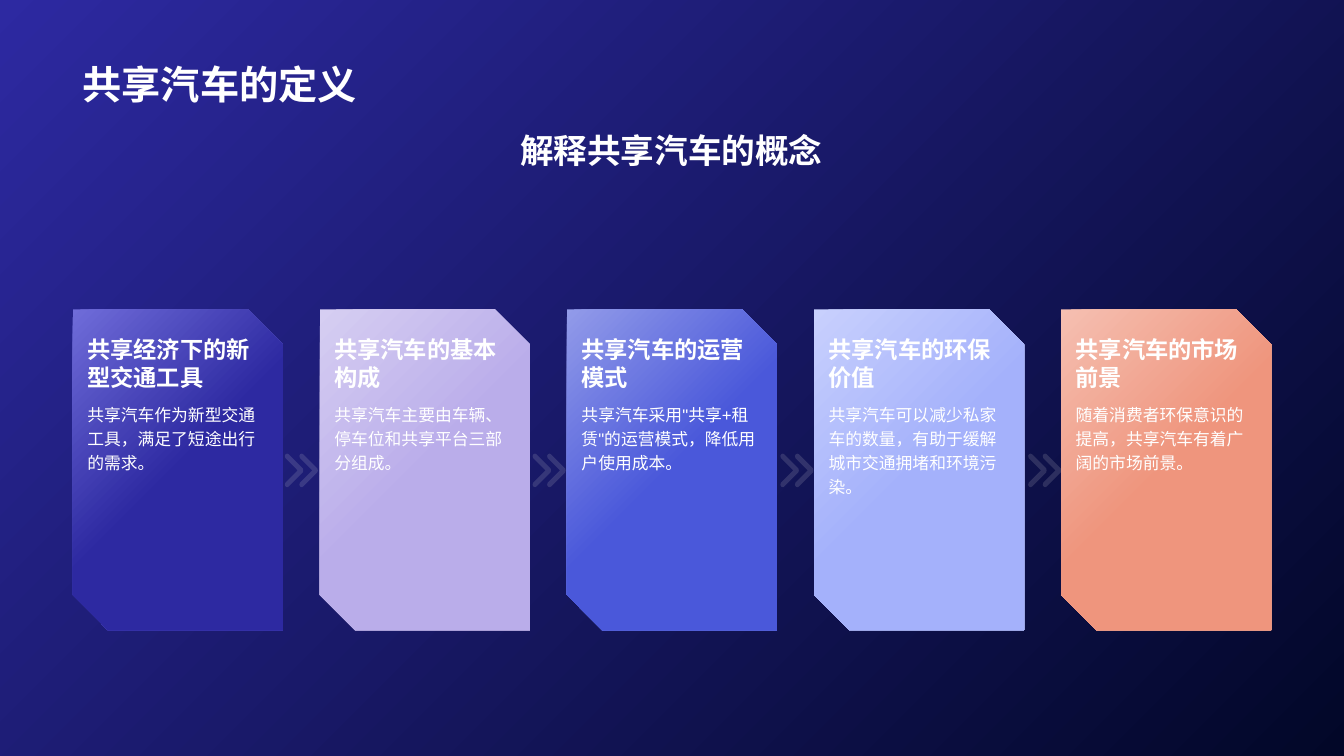
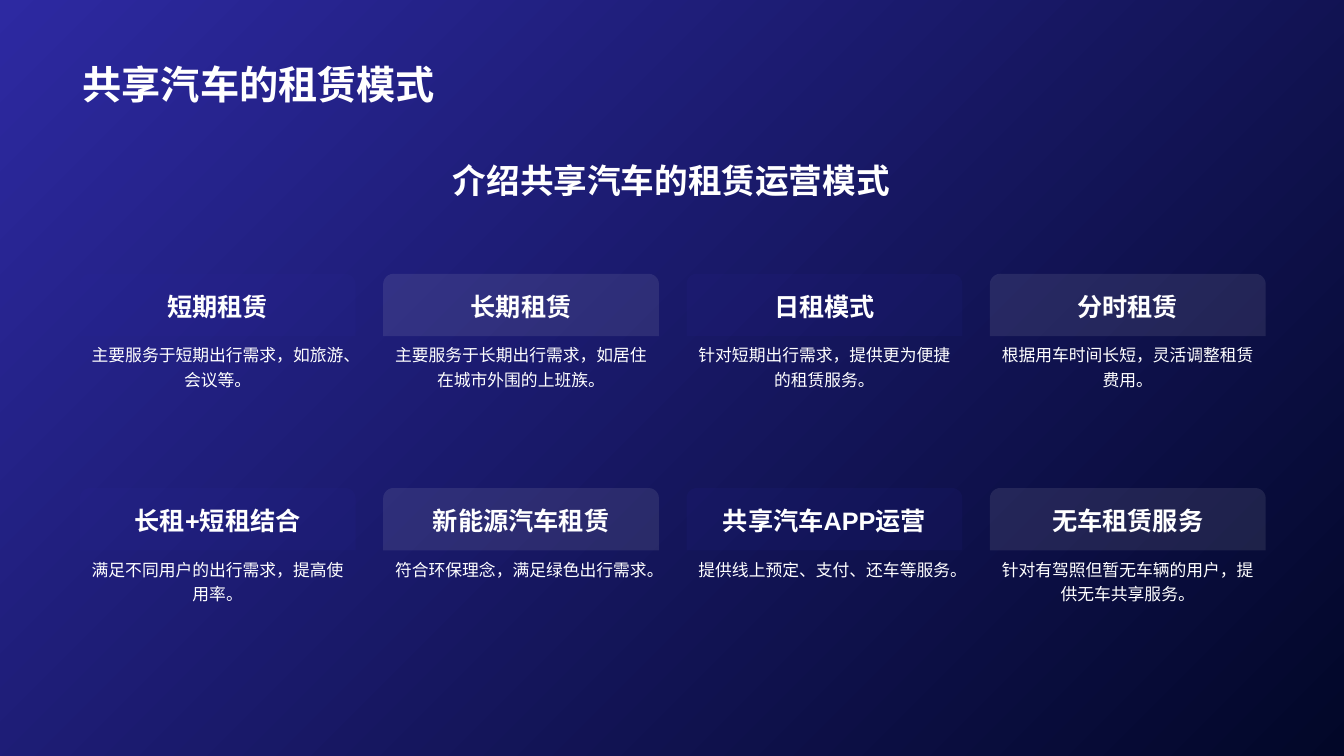
"""Build two slides on car sharing: its definition and its rental models."""
from lxml import etree
from pptx import Presentation
from pptx import util as u
from pptx.dml.color import RGBColor
from pptx.enum import lang, shapes, text
from pptx.oxml.ns import qn

PALETTE = {
    "indigo": "2D29A1",
    "night": "020728",
    "white": "FFFFFF",
    "mist": "E6E4E4",
    "indigo_light": "6F6CD9",
    "lilac": "BAADEA",
    "lilac_light": "D6CEF2",
    "blue": "4A58DA",
    "blue_light": "929BE9",
    "sky": "A4B1FB",
    "sky_light": "C8D0FD",
    "coral": "EF957D",
    "coral_light": "F5BFB1",
}
FONT = "Arial"
LEFT, CENTER = text.PP_ALIGN.LEFT, text.PP_ALIGN.CENTER
TOP, MIDDLE, BOTTOM = (text.MSO_ANCHOR.TOP, text.MSO_ANCHOR.MIDDLE,
                       text.MSO_ANCHOR.BOTTOM)
CHEVRON_HALF = [(20, 12), (11.2, 3.2), (10.8, 1.6), (11.5, 0.4),
                (12.6, 0), (13.6, 0.5), (23.7, 10.6), (24, 12)]
CHEVRON = CHEVRON_HALF + [(x, 24 - y) for x, y in CHEVRON_HALF[-2:0:-1]]

CARDS = [
    ("indigo", "共享经济下的新型交通工具",
     "共享汽车作为新型交通工具，满足了短途出行的需求。"),
    ("lilac", "共享汽车的基本构成",
     "共享汽车主要由车辆、停车位和共享平台三部分组成。"),
    ("blue", "共享汽车的运营模式",
     "共享汽车采用\"共享+租赁\"的运营模式，降低用户使用成本。"),
    ("sky", "共享汽车的环保价值",
     "共享汽车可以减少私家车的数量，有助于缓解城市交通拥堵和环境污染。"),
    ("coral", "共享汽车的市场前景",
     "随着消费者环保意识的提高，共享汽车有着广阔的市场前景。"),
]
MODELS = [
    ("短期租赁", "主要服务于短期出行需求，如旅游、会议等。"),
    ("长期租赁", "主要服务于长期出行需求，如居住在城市外围的上班族。"),
    ("日租模式", "针对短期出行需求，提供更为便捷的租赁服务。"),
    ("分时租赁", "根据用车时间长短，灵活调整租赁费用。"),
    ("长租+短租结合", "满足不同用户的出行需求，提高使用率。"),
    ("新能源汽车租赁", "符合环保理念，满足绿色出行需求。"),
    ("共享汽车APP运营", "提供线上预定、支付、还车等服务。"),
    ("无车租赁服务", "针对有驾照但暂无车辆的用户，提供无车共享服务。"),
]


def rgb(name):
    return RGBColor.from_string(PALETTE[name])


def write(tf, content, size=12, bold=False, align=LEFT, anchor=TOP, spacing=1.0):
    tf.word_wrap = True
    tf.vertical_anchor = anchor
    p = tf.paragraphs[0]
    p.alignment = align
    p.line_spacing = spacing
    r = p.add_run()
    r.text = content
    font = r.font
    font.name = FONT
    font.size = u.Pt(size)
    font.bold = bold
    font.color.rgb = rgb("white")
    font.language_id = lang.MSO_LANGUAGE_ID.SIMPLIFIED_CHINESE
    etree.SubElement(r._r.get_or_add_rPr(), qn("a:ea"), typeface=FONT)


def fade(fill, start, end, end_at=1.0):
    fill.gradient()
    fill.gradient_angle = 315
    for stop, name, position in zip(fill.gradient_stops, (start, end), (0, end_at)):
        stop.color.rgb = rgb(name)
        stop.position = position


def tint(sp, name, opacity):
    sp.fill.solid()
    sp.fill.fore_color.rgb = rgb(name)
    color = sp._element.spPr.find(qn("a:solidFill"))[0]
    etree.SubElement(color, qn("a:alpha"), val=str(opacity * 1000))


class Deck:
    def __init__(self):
        self.prs = Presentation()
        self.prs.slide_width, self.prs.slide_height = u.Pt(960), u.Pt(540)
        self.s = None

    def slide(self, title, subtitle, subtitle_top):
        self.s = self.prs.slides.add_slide(self.prs.slide_layouts[6])
        fade(self.s.background.fill, "indigo", "night")
        self.label(title, 52, 10, 855, 70.5, size=28, bold=True, anchor=BOTTOM)
        self.label(subtitle, 52, subtitle_top, 855, 48, size=24, bold=True,
                   align=CENTER)

    def label(self, content, x, y, w, h, **style):
        box = self.s.shapes.add_textbox(u.Pt(x), u.Pt(y), u.Pt(w), u.Pt(h))
        write(box.text_frame, content, **style)

    def shape(self, kind, x, y, w, h):
        sp = self.s.shapes.add_shape(kind, u.Pt(x), u.Pt(y), u.Pt(w), u.Pt(h))
        return self.plain(sp)

    def plain(self, sp):
        sp.shadow.inherit = False
        sp.line.fill.background()
        return sp

    def card(self, x, color, heading, body):
        sp = self.shape(shapes.MSO_SHAPE.SNIP_2_DIAG_RECTANGLE, x, 221, 150, 229)
        fade(sp.fill, color + "_light", color, 0.5)
        self.label(heading, x + 3.3, 241, 141, 42, size=16.6, bold=True,
                   anchor=BOTTOM)
        self.label(body, x + 3.3, 282.5, 141, 142, spacing=1.2)

    def double_chevron(self, x, y):
        right, left = ([(u.Pt(x + dx - shift), u.Pt(y + dy)) for dx, dy in CHEVRON]
                       for shift in (0, 10.4))
        outline = self.s.shapes.build_freeform(*right[0])
        outline.add_line_segments(right[1:])
        outline.move_to(*left[0])
        outline.add_line_segments(left[1:])
        tint(self.plain(outline.convert_to_shape()), "mist", 15)

    def model(self, x, y, color, heading, body):
        self.label(body, x, y + 44.5, 197, 83, align=CENTER, spacing=1.2)
        sp = self.shape(shapes.MSO_SHAPE.ROUND_2_SAME_RECTANGLE, x, y, 197, 44.5)
        tint(sp, color, 10)
        write(sp.text_frame, heading, size=18, bold=True, align=CENTER,
              anchor=MIDDLE)


def main():
    deck = Deck()

    deck.slide("共享汽车的定义", "解释共享汽车的概念", 89.5)
    for i in range(len(CARDS) - 1):
        deck.double_chevron(203 + 177 * i, 324)
    for i, card in enumerate(CARDS):
        deck.card(52 + 176.5 * i, *card)

    deck.slide("共享汽车的租赁模式", "介绍共享汽车的租赁运营模式", 111)
    for i, model in enumerate(MODELS):
        row, col = divmod(i, 4)
        color = ("indigo", "mist")[col % 2]
        deck.model(57 + 216.7 * col, 195.6 + 153 * row, color, *model)

    deck.prs.save("out.pptx")


if __name__ == "__main__":
    main()
